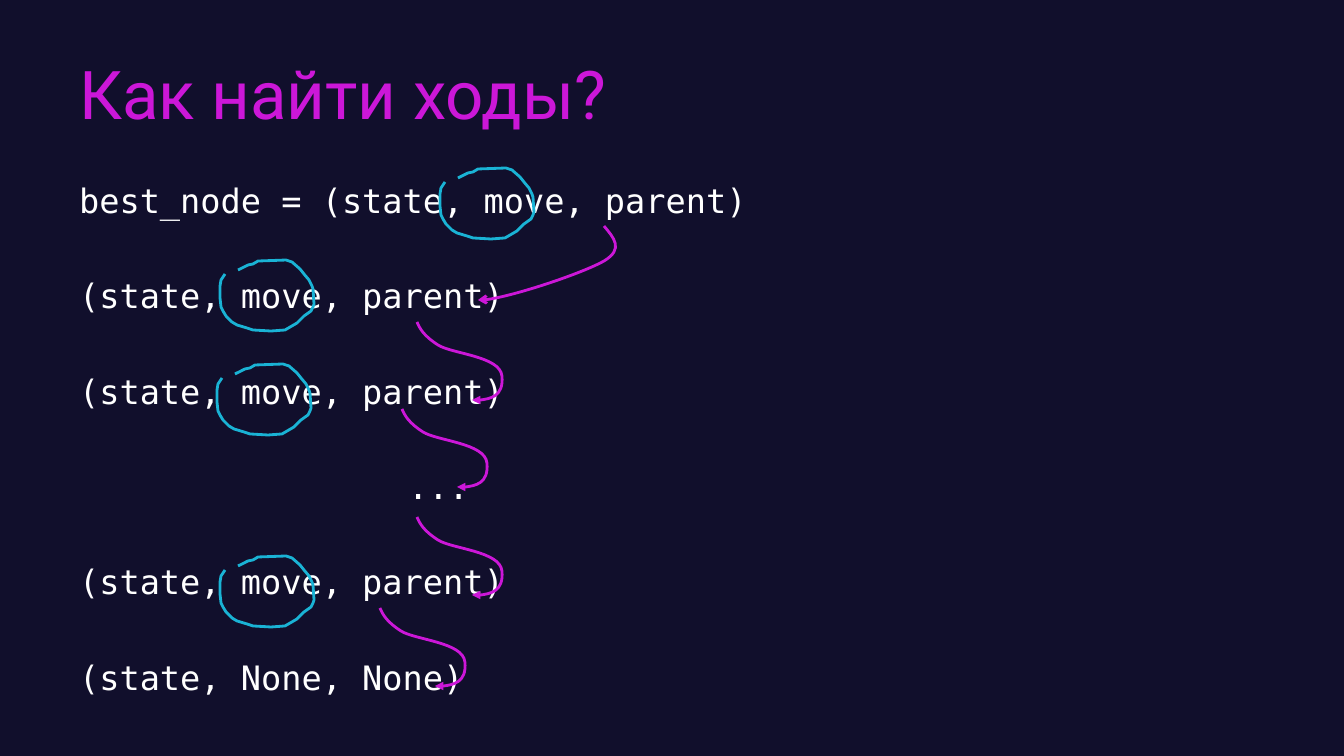
from lxml.etree import SubElement
from pptx import Presentation
from pptx.dml.color import RGBColor
from pptx.enum.text import MSO_ANCHOR as Anchor, MSO_AUTO_SIZE as AutoSize, PP_ALIGN as Align
from pptx.oxml.ns import qn
from pptx.util import Pt

PX = 914400 / 100.8  # EMU per pixel


def px(length):
    return round(length * PX)


THEME = {
    "background": RGBColor.from_string("110F2C"),
    "accent": RGBColor.from_string("CC17D8"),
    "ring": RGBColor.from_string("1AB3D5"),
    "text": RGBColor.from_string("FFFFFF"),
    "title_font": "Roboto",
    "code_font": "DejaVu Sans Mono",
    "title_size": Pt(48),
    "code_size": Pt(24),
    "stroke": Pt(2),
}

presentation = Presentation()
presentation.slide_width, presentation.slide_height = px(1344), px(756)
slide = presentation.slides.add_slide(presentation.slide_layouts[1])
slide.background.fill.solid()
slide.background.fill.fore_color.rgb = THEME["background"]

# Title
title = slide.shapes.title
title.left, title.top, title.width, title.height = px(69), px(30), px(1211), px(125)
title.text_frame.text = "Как найти ходы?"
title.text_frame.vertical_anchor = Anchor.MIDDLE
paragraph = title.text_frame.paragraphs[0]
paragraph.alignment = Align.LEFT
paragraph.font.name = THEME["title_font"]
paragraph.font.size = THEME["title_size"]
paragraph.font.color.rgb = THEME["accent"]

# Chain of nodes: text, left indent
NODES = [
    ("best_node = (state, move, parent)", 0),
    ("(state, move, parent)", 0),
    ("(state, move, parent)", 0),
    ("...", 329),
    ("(state, move, parent)", 0),
    ("(state, None, None)", 0),
]
body = slide.placeholders[1]
body.left, body.top, body.width, body.height = px(69), px(175), px(1211), px(500)
frame = body.text_frame
frame.auto_size = AutoSize.NONE
frame.text = "\n".join(text for text, indent in NODES)
for index, (paragraph, (text, indent)) in enumerate(zip(frame.paragraphs, NODES)):
    paragraph.space_before = px(55) if index else px(8)
    paragraph.font.name = THEME["code_font"]
    paragraph.font.size = THEME["code_size"]
    paragraph.font.color.rgb = THEME["text"]
    properties = paragraph._p.get_or_add_pPr()
    properties.set("marL", str(px(indent)))
    properties.set("indent", "0")
    SubElement(properties, qn("a:buNone"))


def add_stroke(origin, points, color):
    """Draw an open line through points given relative to origin."""
    x, y = origin
    nodes = [(x + dx, y + dy) for dx, dy in points]
    builder = slide.shapes.build_freeform(*nodes[0], scale=PX)
    builder.add_line_segments(nodes[1:], close=False)
    shape = builder.convert_to_shape()
    shape.shadow.inherit = False
    shape.fill.background()
    shape.line.color.rgb = color
    shape.line.width = THEME["stroke"]
    return shape


# Arrows from each parent to the next node: start, curve, head
FIRST_CURVE = [(0, 0), (10, 12), (20, 23), (0, 35), (-21, 47), (-107, 76), (-126, 74)]
S_CURVE = [(0, 0), (3, 7), (7, 14), (21, 23), (35, 32), (83, 34), (85, 54),
           (87, 75), (63, 80), (55, 78)]
ARROWS = [
    ((604, 226), FIRST_CURVE, "arrow"),
    ((417, 322), S_CURVE, "triangle"),
    ((402, 409), S_CURVE, "triangle"),
    ((417, 517), S_CURVE, "triangle"),
    ((380, 608), S_CURVE, "triangle"),
]
for start, curve, head in ARROWS:
    arrow = add_stroke(start, curve, THEME["accent"])
    SubElement(arrow.line._get_or_add_ln(), qn("a:tailEnd"), type=head)
    # Every three segments become one Bézier curve
    segments = arrow.element.xpath(".//a:path/a:lnTo")
    for first in range(0, len(segments), 3):
        outline = segments[first].getparent()
        bezier = SubElement(outline, qn("a:cubicBezTo"))
        for segment in segments[first:first + 3]:
            bezier.append(segment[0])
            outline.remove(segment)

# Hand-drawn rings around the moves
RING = [(5, 14), (1, 20), (0, 26), (0, 38), (1, 47), (3, 51), (6, 56), (12, 62), (17, 65),
        (27, 68), (33, 70), (51, 71), (65, 70), (77, 63), (84, 56), (91, 51), (93, 47),
        (94, 44), (93, 29), (92, 26), (89, 20), (84, 14), (80, 9), (72, 2), (66, 0),
        (38, 1), (33, 4), (28, 5), (22, 8), (18, 10)]
for corner in [(220, 556), (217, 364), (220, 260), (440, 168)]:
    add_stroke(corner, RING, THEME["ring"])

presentation.save("out.pptx")
